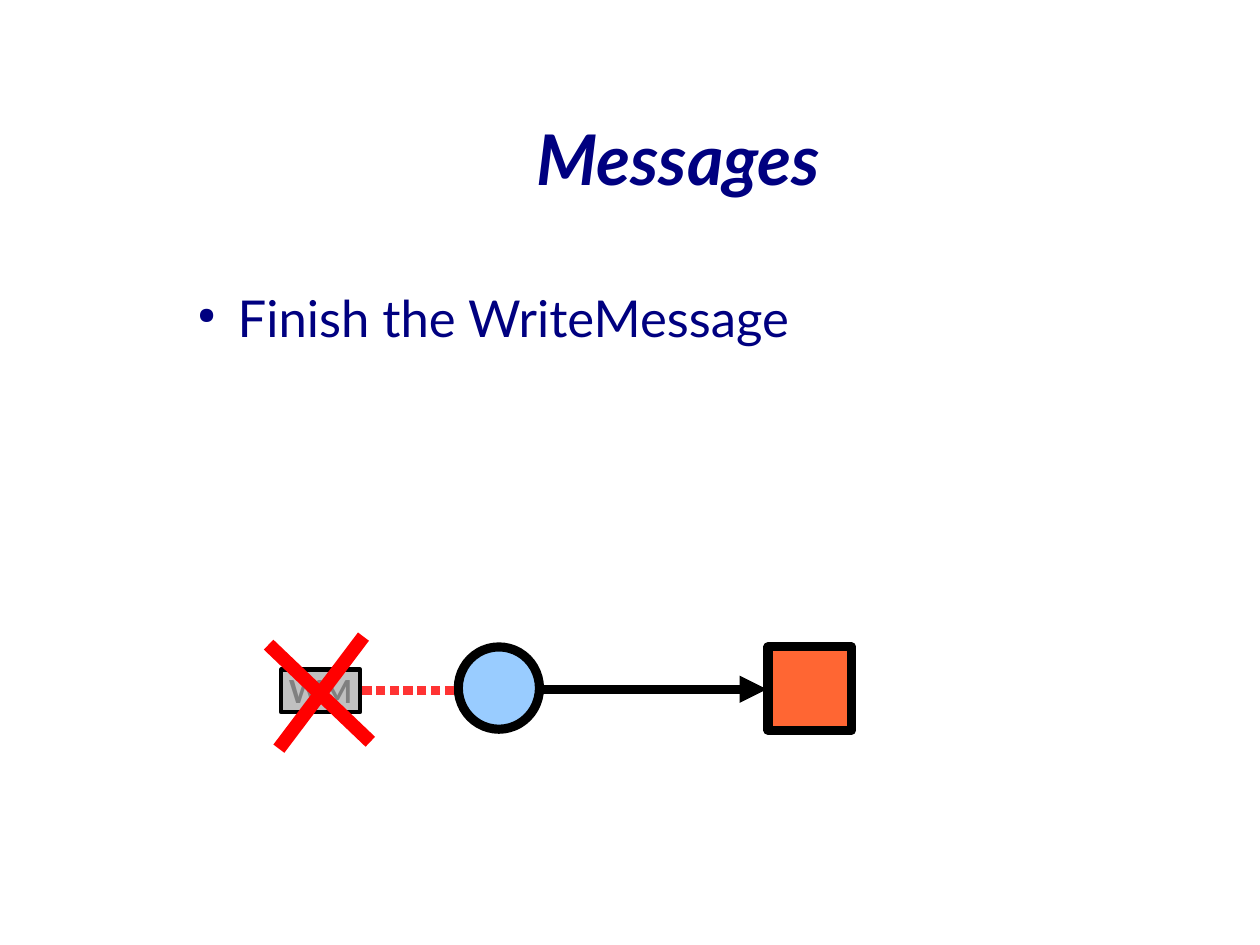
from dataclasses import dataclass

from lxml import etree
from pptx import Presentation
from pptx.dml.color import RGBColor
from pptx.enum import shapes, text
from pptx.oxml import ns
from pptx.util import Cm, Inches, Pt


@dataclass(frozen=True)
class Theme:
    font: str = "Lato"
    bullet_font: str = "OpenSymbol"
    navy: str = "000080"
    black: str = "000000"
    blue: str = "99CCFF"
    orange: str = "FF6633"
    silver: str = "C0C0C0"
    gray: str = "808080"
    coral: str = "FF3333"
    red: str = "FF0000"
    title_size: float = 44
    body_size: float = 32
    label_size: float = 20
    heavy: float = 5.75
    thin: float = 2.89
    cross: float = 8.65


THEME = Theme()


def add_element(parent, tag, **attributes):
    return etree.SubElement(parent, ns.qn(tag), attributes)


def style_paragraph(paragraph, size, color, bold=False, italic=False):
    font = paragraph.font
    font.name = THEME.font
    font.size = Pt(size)
    font.bold = bold
    font.italic = italic
    font.color.rgb = RGBColor.from_string(color)


def prepare_frame(frame, inset=0, anchor=text.MSO_ANCHOR.MIDDLE):
    frame.margin_left = frame.margin_right = Inches(inset)
    frame.margin_top = frame.margin_bottom = Inches(inset)
    frame.vertical_anchor = anchor
    frame.auto_size = text.MSO_AUTO_SIZE.NONE
    frame.word_wrap = True


def set_title(slide, words):
    title = slide.shapes.title
    title.left, title.top = Inches(1.65), Inches(0.69)
    title.width, title.height = Inches(8.57), Inches(1.38)
    prepare_frame(title.text_frame)
    title.text_frame.text = words
    paragraph = title.text_frame.paragraphs[0]
    paragraph.alignment = text.PP_ALIGN.CENTER
    style_paragraph(paragraph, THEME.title_size, THEME.navy, bold=True, italic=True)


def add_bullet(slide, words):
    box = slide.shapes.add_textbox(Inches(1.61), Inches(2.51), Inches(9.41), Inches(5.21))
    prepare_frame(box.text_frame, anchor=text.MSO_ANCHOR.TOP)
    paragraph = box.text_frame.paragraphs[0]
    paragraph.text = words
    paragraph.space_after = Pt(14.1)
    properties = paragraph._p.get_or_add_pPr()
    properties.set("marL", str(Inches(0.47)))
    properties.set("indent", str(Inches(-0.35)))
    bullet_color = add_element(properties, "a:buClr")
    add_element(bullet_color, "a:srgbClr", val=THEME.navy)
    add_element(properties, "a:buSzPct", val="45000")
    add_element(properties, "a:buFont", typeface=THEME.bullet_font)
    add_element(properties, "a:buChar", char="●")
    style_paragraph(paragraph, THEME.body_size, THEME.navy)


def set_line(line, color, width):
    line.color.rgb = RGBColor.from_string(color)
    line.width = Pt(width)


def add_node(slide, kind, left, top, width, height, fill, line_width=THEME.heavy):
    node = slide.shapes.add_shape(
        kind, Inches(left), Inches(top), Inches(width), Inches(height))
    node.shadow.inherit = False
    node.fill.solid()
    node.fill.fore_color.rgb = RGBColor.from_string(fill)
    set_line(node.line, THEME.black, line_width)
    add_element(node.line._get_or_add_ln(), "a:round")
    return node


def add_label(node, words):
    prepare_frame(node.text_frame, inset=-0.02)
    paragraph = node.text_frame.paragraphs[0]
    paragraph.text = words
    paragraph.alignment = text.PP_ALIGN.CENTER
    style_paragraph(paragraph, THEME.label_size, THEME.gray, bold=True)


def add_link(slide, start, end, color, width, dashed=False, arrow=False):
    points = [Inches(value) for value in (*start, *end)]
    link = slide.shapes.add_connector(shapes.MSO_CONNECTOR.STRAIGHT, *points)
    set_line(link.line, color, width)
    outline = link.line._get_or_add_ln()
    if dashed:
        dashes = add_element(outline, "a:custDash")
        add_element(dashes, "a:ds", d="100000", sp="50000")
    if arrow:
        add_element(outline, "a:tailEnd", type="triangle")
    add_element(link._element.spPr, "a:effectLst")


def main():
    presentation = Presentation()
    presentation.slide_width = Cm(28)
    presentation.slide_height = Cm(21)
    slide = presentation.slides.add_slide(presentation.slide_layouts.get_by_name("Title Only"))

    set_title(slide, "Messages")
    add_bullet(slide, "Finish the WriteMessage")

    rectangle = shapes.MSO_SHAPE.RECTANGLE
    add_node(slide, shapes.MSO_SHAPE.OVAL, 4.01, 5.66, 0.71, 0.72, THEME.blue)
    add_node(slide, rectangle, 6.72, 5.66, 0.73, 0.73, THEME.orange)
    add_link(slide, (4.73, 6.03), (6.71, 6.03), THEME.black, THEME.heavy, arrow=True)

    message = add_node(slide, rectangle, 2.46, 5.86, 0.69, 0.37, THEME.silver, THEME.thin)
    add_label(message, "WM")
    add_link(slide, (3.97, 6.04), (3.15, 6.04), THEME.coral, THEME.heavy, dashed=True)
    for start, end in (((3.18, 5.57), (2.44, 6.55)), ((2.35, 5.64), (3.24, 6.49))):
        add_link(slide, start, end, THEME.red, THEME.cross)

    presentation.save("out.pptx")


if __name__ == "__main__":
    main()
